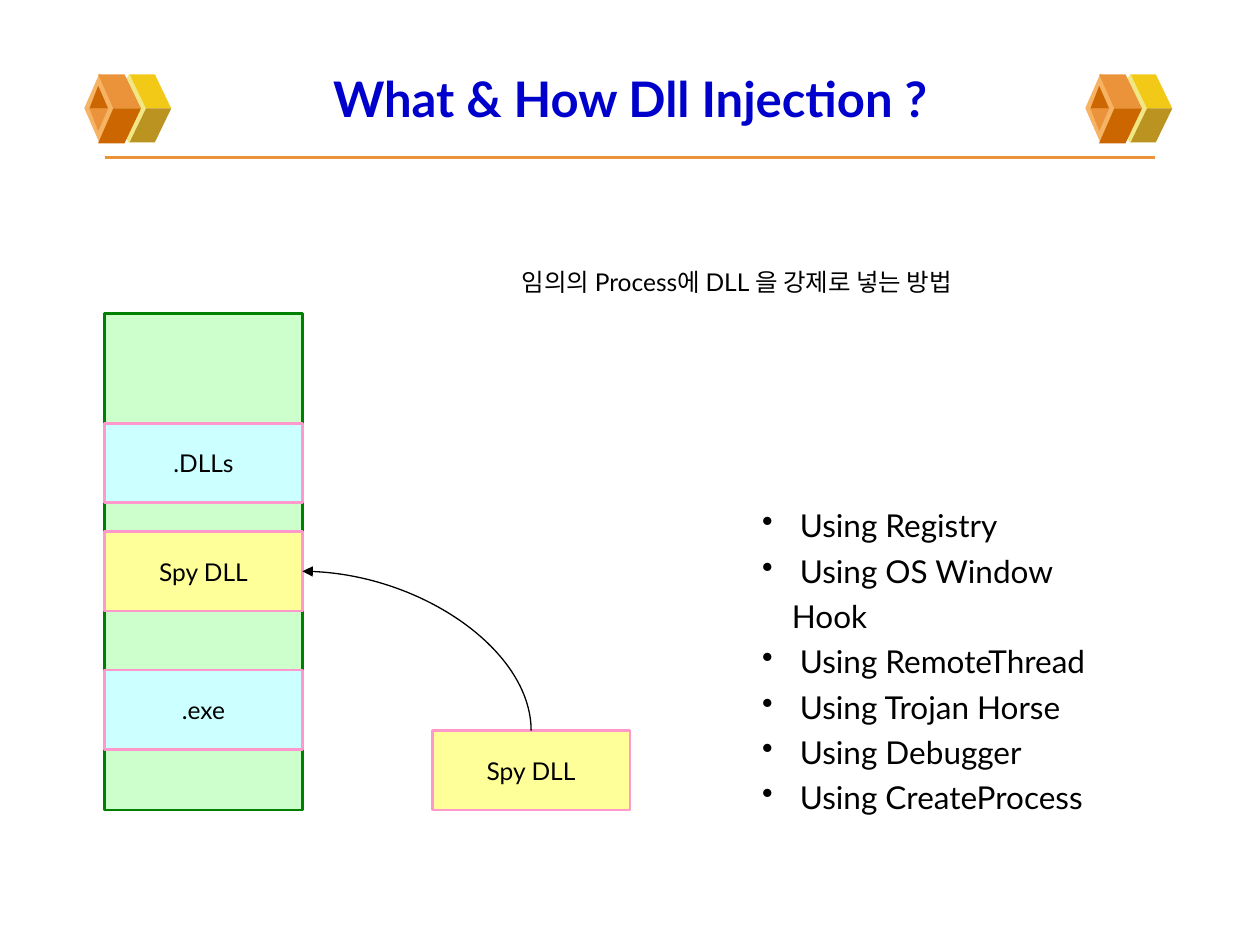
from dataclasses import dataclass

from lxml.etree import SubElement
from pptx import Presentation
from pptx.dml.color import RGBColor
from pptx.enum.shapes import MSO_CONNECTOR as Link, MSO_SHAPE as Preset
from pptx.enum.text import MSO_ANCHOR as Anchor, PP_ALIGN as Align
from pptx.oxml.ns import qn
from pptx.util import Pt

COLORS = {
    "title": "0000CC", "text": "000000", "rule": "EB933B",
    "cream": "F1E785", "yellow": "F3C917", "olive": "BB9321",
    "peach": "F5B363", "orange": "EB933B", "rust": "CC6600",
    "memory": "CCFFCC", "memory_edge": "008000",
    "module": "CCFFFF", "spy": "FFFF99", "module_edge": "FF99CC",
}
FONT = "Lato"
BLOCK_W, BLOCK_H = 113, 45.4
MEMORY_LEFT, MEMORY_TOP, MEMORY_H = 59.8, 179.2, 283.8
SPY_LEFT, SPY_TOP = 247, 417.6
INJECTED_TOP = 303.8


@dataclass(frozen=True)
class Block:
    left: float
    top: float
    height: float
    fill: str
    edge: str
    label: str = ""


@dataclass(frozen=True)
class Facet:
    """One filled part of the emblem; a diamond gives its two box corners."""
    color: str
    points: tuple
    diamond: bool = False


FACETS = (
    Facet("cream", ((13.8, 0.5), (37.5, 40.1)), True),
    Facet("yellow", ((35.3, 20.2), (49.7, 20.2), (40.3, 0.7), (25.9, 0.7))),
    Facet("olive", ((35.3, 20.2), (49.7, 20.2), (40.3, 39.6), (25.9, 39.6))),
    Facet("peach", ((0, 0.2), (17.3, 39.8)), True),
    Facet("orange", ((16.6, 20.2), (32.4, 20.2), (23, 0.7), (7.9, 0.7))),
    Facet("rust", ((16.6, 20.2), (32.4, 20.2), (23, 40.1), (7.9, 40.1))),
    Facet("rust", ((7.9, 7.2), (2.9, 20.2), (13.6, 20.2))),
    Facet("orange", ((7.9, 33.1), (2.9, 20.2), (13.6, 20.2))),
)
EMBLEM_LEFTS, EMBLEM_TOP = (48.2, 620.2), 41.8

BLOCKS = (
    Block(MEMORY_LEFT, MEMORY_TOP, MEMORY_H, "memory", "memory_edge"),
    Block(SPY_LEFT, SPY_TOP, BLOCK_H, "spy", "module_edge", "Spy DLL"),
    Block(MEMORY_LEFT, 241.9, BLOCK_H, "module", "module_edge", ".DLLs"),
    Block(MEMORY_LEFT, 383, BLOCK_H, "module", "module_edge", ".exe"),
    Block(MEMORY_LEFT, INJECTED_TOP, BLOCK_H, "spy", "module_edge", "Spy DLL"),
)

METHODS = (" Using Registry", " Using OS Window Hook", " Using RemoteThread",
           " Using Trojan Horse", " Using Debugger", " Using CreateProcess")


def rgb(name: str) -> RGBColor:
    return RGBColor.from_string(COLORS[name])


def paint(shape, fill: str) -> None:
    shape.shadow.inherit = False
    shape.fill.solid()
    shape.fill.fore_color.rgb = rgb(fill)


def write(paragraph, text: str, size: float, color: str = "text",
          bold: bool = False) -> None:
    run = paragraph.add_run()
    run.text = text
    run.font.name = FONT
    run.font.size = Pt(size)
    run.font.bold = bold
    run.font.color.rgb = rgb(color)


def add_frame(slide, left: float, top: float, width: float, height: float):
    frame = slide.shapes.add_textbox(
        Pt(left), Pt(top), Pt(width), Pt(height)).text_frame
    frame.word_wrap = True
    return frame


def add_bullet(paragraph) -> None:
    props = paragraph._p.get_or_add_pPr()
    props.set("marL", str(Pt(17)))
    props.set("indent", str(Pt(-17)))
    color = SubElement(props, qn("a:buClr"))
    SubElement(color, qn("a:srgbClr"), val=COLORS["text"])
    SubElement(props, qn("a:buChar"), char="•")


def add_line(slide, kind, start: tuple, end: tuple, color: str, width: float):
    line = slide.shapes.add_connector(kind, *map(Pt, start + end))
    line.line.color.rgb = rgb(color)
    line.line.width = Pt(width)
    SubElement(line._element.spPr, qn("a:effectLst"))
    return line


def add_emblem(slide, left: float, top: float) -> None:
    for facet in FACETS:
        spots = [(Pt(left + x), Pt(top + y)) for x, y in facet.points]
        if facet.diamond:
            (x1, y1), (x2, y2) = spots
            shape = slide.shapes.add_shape(
                Preset.DIAMOND, x1, y1, x2 - x1, y2 - y1)
        else:
            outline = slide.shapes.build_freeform(*spots[0])
            outline.add_line_segments(spots[1:], close=True)
            shape = outline.convert_to_shape()
        paint(shape, facet.color)
        shape.line.fill.background()


def add_block(slide, block: Block) -> None:
    shape = slide.shapes.add_shape(
        Preset.RECTANGLE, Pt(block.left), Pt(block.top),
        Pt(BLOCK_W), Pt(block.height))
    paint(shape, block.fill)
    shape.line.color.rgb = rgb(block.edge)
    shape.line.width = Pt(1.5)
    if block.label:
        frame = shape.text_frame
        frame.vertical_anchor = Anchor.MIDDLE
        frame.paragraphs[0].alignment = Align.CENTER
        write(frame.paragraphs[0], block.label, 14)


def add_injection_arrow(slide, start: tuple, end: tuple) -> None:
    """Quarter curve that leaves upwards and arrives leftwards."""
    mid_x, mid_y = (start[0] + end[0]) / 2, (start[1] + end[1]) / 2
    # The curve is turned by 270 degrees, so its half sides swap
    half_w, half_h = (start[1] - end[1]) / 2, (start[0] - end[0]) / 2
    arrow = add_line(slide, Link.CURVE, (mid_x - half_w, mid_y + half_h),
                     (mid_x + half_w, mid_y - half_h), "text", 0.75)
    props = arrow._element.spPr
    props.find(qn("a:xfrm")).set("rot", str(270 * 60000))
    props.find(qn("a:prstGeom")).set("prst", "curvedConnector2")
    SubElement(props.find(qn("a:ln")), qn("a:tailEnd"), type="triangle")


def main() -> None:
    deck = Presentation()
    deck.slide_width, deck.slide_height = Pt(720), Pt(540)
    slide = deck.slides.add_slide(deck.slide_layouts[6])

    # Header: rule, emblems and title
    add_line(slide, Link.STRAIGHT, (60, 90), (660, 90), "rule", 2.25)
    for left in EMBLEM_LEFTS:
        add_emblem(slide, left, EMBLEM_TOP)
    title = add_frame(slide, 36, 21.6, 648, 68.4)
    title.vertical_anchor = Anchor.MIDDLE
    title.paragraphs[0].alignment = Align.CENTER
    write(title.paragraphs[0], "What & How Dll Injection ?", 28, "title", True)

    # Injection methods
    methods = add_frame(slide, 428.4, 281.5, 206, 162.7)
    for index, method in enumerate(METHODS):
        paragraph = methods.add_paragraph() if index else methods.paragraphs[0]
        paragraph.line_spacing = 1.2
        add_bullet(paragraph)
        write(paragraph, method, 18)

    # Process memory and the injected module
    for block in BLOCKS:
        add_block(slide, block)
    add_injection_arrow(slide, (SPY_LEFT + BLOCK_W / 2, SPY_TOP),
                        (MEMORY_LEFT + BLOCK_W, INJECTED_TOP + BLOCK_H / 2))

    # Definition
    definition = add_frame(slide, 290.9, 149, 290, 24.5)
    write(definition.paragraphs[0], "임의의 Process에 DLL 을 강제로 넣는 방법", 14)

    deck.save("out.pptx")


if __name__ == "__main__":
    main()
